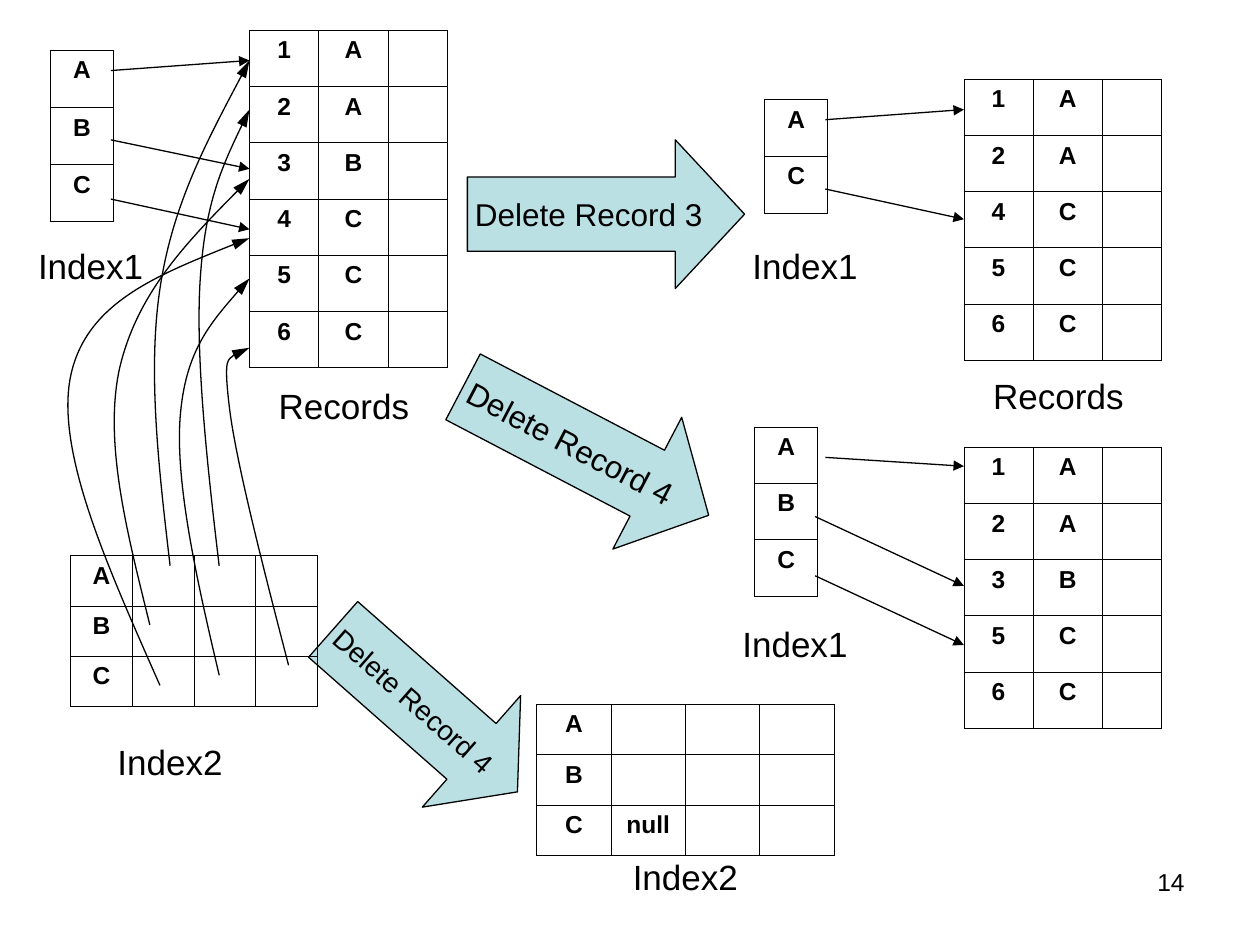
from dataclasses import dataclass

from pptx import Presentation
from pptx import util as u
from pptx.dml.color import RGBColor
from pptx.enum import shapes, text
from pptx.oxml import parse_xml
from pptx.oxml import ns


@dataclass(frozen=True)
class Theme:
    font: str = "Arial"
    ink: str = "000000"
    arrow: str = "BBE0E3"
    cell_size: float = 14
    number_size: float = 14
    label_size: float = 20
    action_size: float = 18
    small_action_size: float = 16
    line: float = 0.75
    border: float = 0.45


def write(frame, content, *, size, font, color, bold=False,
          align=text.PP_ALIGN.CENTER, wrap=True):
    frame.word_wrap = wrap
    paragraph = frame.paragraphs[0]
    paragraph.alignment = align
    paragraph.font.size = u.Pt(size)
    if content:
        run = paragraph.add_run()
        run.text = content
        run.font.size = u.Pt(size)
        run.font.name = font
        run.font.bold = bold
        run.font.color.rgb = RGBColor.from_string(color)


class Diagram:
    def __init__(self, slide, theme):
        self.slide = slide
        self.theme = theme
        self.ink = {"font": theme.font, "color": theme.ink}

    def stroke(self, line):
        line.color.rgb = RGBColor.from_string(self.theme.ink)
        line.width = u.Pt(self.theme.line)

    def add_head(self, shape, length):
        outline = shape.line._get_or_add_ln()
        outline.append(parse_xml(
            f'<a:tailEnd {ns.nsdecls("a")} type="triangle" w="med" len="{length}"/>'))

    def label(self, content, left, top, width=1.1, height=0.44, size=None,
              align=text.PP_ALIGN.CENTER):
        box = self.slide.shapes.add_textbox(*map(u.Inches, (left, top, width, height)))
        write(box.text_frame, content, size=size or self.theme.label_size,
              align=align, **self.ink)

    def pointer(self, start, end):
        ends = map(u.Inches, (*start, *end))
        pointer = self.slide.shapes.add_connector(shapes.MSO_CONNECTOR.STRAIGHT, *ends)
        self.stroke(pointer.line)
        self.add_head(pointer, "med")
        pointer._element.spPr.append(parse_xml(f'<a:effectLst {ns.nsdecls("a")}/>'))

    def curve(self, *points):
        start, *controls = [(u.Inches(x), u.Inches(y)) for x, y in points]
        builder = self.slide.shapes.build_freeform(*start)
        builder.add_line_segments(controls, close=False)
        curve = builder.convert_to_shape()
        segments = curve._element.findall(".//" + ns.qn("a:lnTo"))
        for first in range(0, len(segments), 3):
            bezier = parse_xml(f'<a:cubicBezTo {ns.nsdecls("a")}/>')
            segments[first].addprevious(bezier)
            for segment in segments[first:first + 3]:
                bezier.append(segment[0])
                segment.getparent().remove(segment)
        curve.fill.background()
        self.stroke(curve.line)
        self.add_head(curve, "lg")
        curve.shadow.inherit = False

    def action(self, content, left, top, width=2.2, rotation=0, head=0.466, size=None):
        arrow = self.slide.shapes.add_shape(
            shapes.MSO_SHAPE.RIGHT_ARROW, *map(u.Inches, (left, top, width, 1.18)))
        arrow.adjustments[1] = head
        arrow.rotation = rotation
        arrow.shadow.inherit = False
        arrow.fill.solid()
        arrow.fill.fore_color.rgb = RGBColor.from_string(self.theme.arrow)
        self.stroke(arrow.line)
        arrow.text_frame.vertical_anchor = text.MSO_ANCHOR.MIDDLE
        write(arrow.text_frame, content, size=size or self.theme.action_size,
              wrap=False, **self.ink)

    def outline_cell(self, cell):
        cell.fill.background()
        properties = cell._tc.get_or_add_tcPr()
        for position, side in enumerate(("lnL", "lnR", "lnT", "lnB")):
            properties.insert(position, parse_xml(
                f'<a:{side} {ns.nsdecls("a")} w="{u.Pt(self.theme.border)}"><a:solidFill>'
                f'<a:srgbClr val="{self.theme.ink}"/></a:solidFill></a:{side}>'))

    def table(self, rows, left, top, widths, height):
        table = self.slide.shapes.add_table(
            len(rows), len(widths), u.Inches(left), u.Inches(top),
            u.Inches(sum(widths)), u.Inches(height)).table
        table.first_row = table.horz_banding = False
        for column, width in zip(table.columns, widths):
            column.width = u.Inches(width)
        for row, entries in zip(table.rows, rows):
            row.height = u.Inches(height / len(rows))
            for position, cell in enumerate(row.cells):
                self.outline_cell(cell)
                entry = entries[position] if position < len(entries) else ""
                write(cell.text_frame, entry, size=self.theme.cell_size,
                      bold=True, **self.ink)

    def records(self, rows, left, top, height):
        self.table(rows, left, top, (0.55, 0.55, 0.47), height)

    def index(self, keys, left, top, height):
        self.table(keys, left, top, (0.5,), height)


def main():
    deck = Presentation()
    deck.slide_width, deck.slide_height = u.Inches(10), u.Inches(7.5)
    theme = Theme()
    diagram = Diagram(deck.slides.add_slide(deck.slide_layouts[6]), theme)
    records = ("1A", "2A", "3B", "4C", "5C", "6C")
    keys = ("A", "B", "C")

    diagram.label("14", 7.17, 6.83, 2.33, 0.52, theme.number_size, text.PP_ALIGN.RIGHT)

    diagram.index(keys, 0.4, 0.4, 1.36)
    diagram.label("Index1", 0.17, 1.89)
    diagram.label("Records", 2.06, 3, 1.34)
    for start, end in ((0.56, 0.48), (1.11, 1.34), (1.58, 1.82)):
        diagram.pointer((0.88, start), (1.98, end))

    diagram.action("Delete Record 3", 3.71, 1.11)
    diagram.label("Index1", 5.84, 1.89)
    diagram.label("Records", 7.73, 2.92, 1.34)
    for start, end in ((0.95, 0.87), (1.5, 1.74)):
        diagram.pointer((6.55, start), (7.65, end))

    diagram.records(records, 1.98, 0.24, 2.68)
    curves = (
        ((1.35, 4.49), (1.26, 3.72), (1.17, 2.95), (1.27, 2.29),
         (1.37, 1.62), (1.68, 1.05), (1.98, 0.48)),
        ((1.74, 4.49), (1.64, 3.65), (1.55, 2.81), (1.59, 2.21),
         (1.63, 1.6), (1.8, 1.24), (1.98, 0.87)),
        ((1.19, 4.96), (1.01, 4.23), (0.82, 3.51), (0.95, 2.92),
         (1.09, 2.33), (1.53, 1.87), (1.98, 1.42)),
        ((1.27, 5.44), (0.86, 4.51), (0.44, 3.59), (0.56, 2.99),
         (0.68, 2.4), (1.33, 2.15), (1.98, 1.89)),
        ((1.74, 5.36), (1.56, 4.6), (1.39, 3.83), (1.43, 3.31),
         (1.47, 2.79), (1.72, 2.5), (1.98, 2.21)),
        ((2.29, 5.28), (2.08, 4.47), (1.87, 3.65), (1.82, 3.23),
         (1.77, 2.81), (1.87, 2.78), (1.98, 2.76)),
    )
    for points in curves:
        diagram.curve(*points)

    diagram.label("Index2", 0.8, 5.83)
    diagram.action("Delete Record 4", 2.4, 5.05, 1.95, 41.4, 0.412,
                   theme.small_action_size)
    diagram.action("Delete Record 4", 3.55, 2.99, rotation=27.6)
    diagram.table(keys, 0.56, 4.41, (0.49,) * 4, 1.2)

    diagram.label("Index1", 5.76, 4.89)
    for start, end in (((6.55, 3.63), 3.7), ((6.47, 4.1), 4.65), ((6.47, 4.57), 5.12)):
        diagram.pointer(start, (7.65, end))
    diagram.label("Index2", 4.89, 6.74)

    diagram.index(("A", "C"), 6.07, 0.79, 0.9)
    for deleted, top in (("3B", 0.63), ("4C", 3.55)):
        remaining = [record for record in records if record != deleted]
        diagram.records(remaining, 7.65, top, 2.23)
    diagram.index(keys, 5.99, 3.39, 1.34)
    diagram.table(("A", "B", ("C", "null")), 4.26, 5.59, (0.59,) * 4, 1.2)

    deck.save("out.pptx")


if __name__ == "__main__":
    main()
